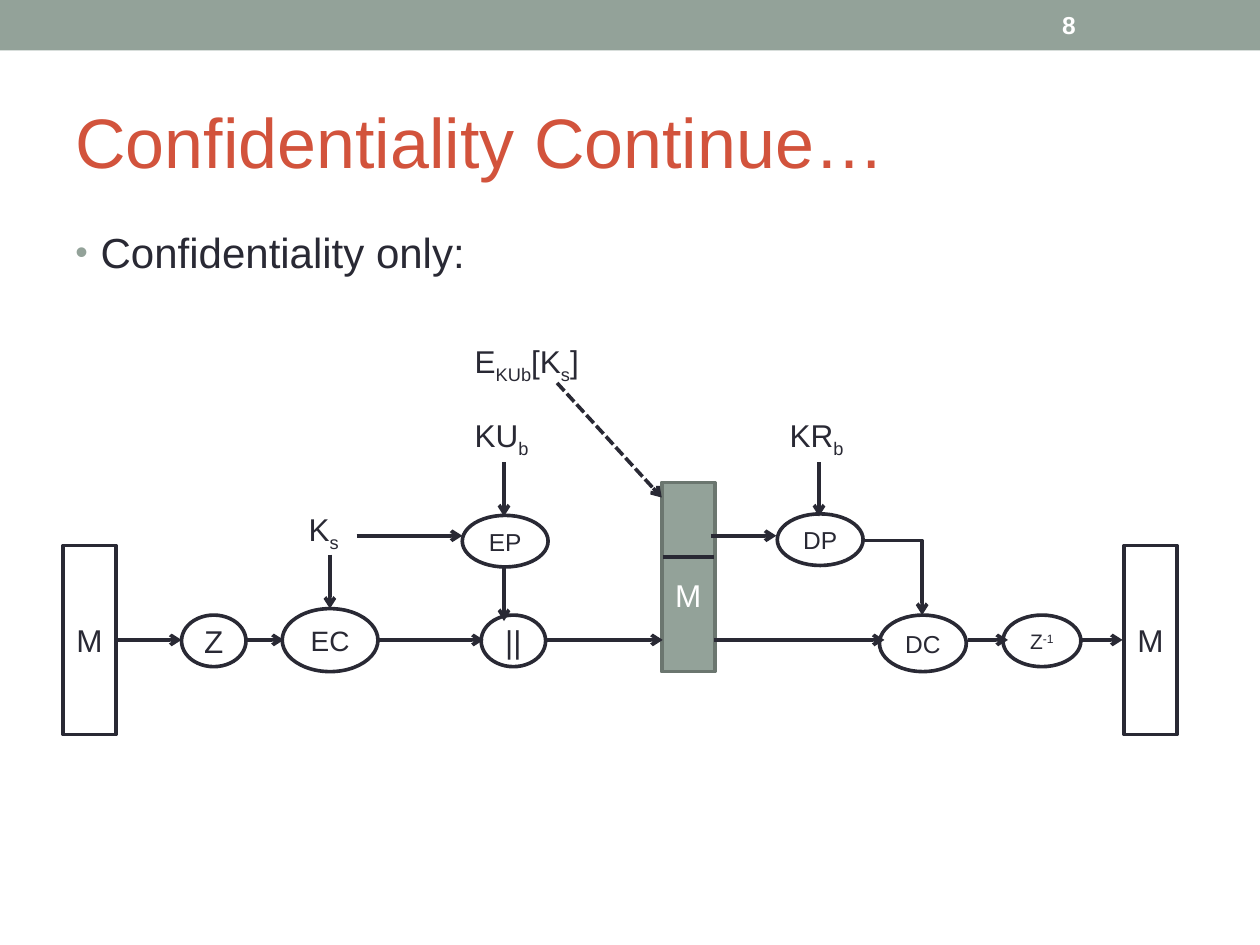
import dataclasses
import typing

import pptx
import pptx.dml.color
import pptx.enum.dml
import pptx.enum.shapes
import pptx.enum.text
import pptx.oxml
import pptx.oxml.ns
import pptx.util

Cm = pptx.util.Cm
Pt = pptx.util.Pt
SHAPES = pptx.enum.shapes.MSO_SHAPE
LINKS = pptx.enum.shapes.MSO_CONNECTOR
ANCHORS = pptx.enum.text.MSO_ANCHOR
ALIGNS = pptx.enum.text.PP_ALIGN

COLORS = {"sage": "93A299", "sage_dark": "6B766F", "ink": "292934",
          "title": "D2533C", "paper": "FFFFFF"}
LINE_WIDTH = 2.07
FLOW_Y = 12.9   # main row of the diagram
KEY_Y = 10.8    # row of the session key
SUB, SUPER = -25000, 30000

# A run is its text and its baseline shift
Runs = list[tuple[str, int]]


@dataclasses.dataclass
class Node:
    runs: Runs
    left: float
    top: float
    width: float
    height: float
    size: int = 18
    kind: typing.Any = SHAPES.OVAL
    fill: str = "paper"
    line: str = "ink"
    color: str = "ink"
    top_inset: float = 0.13


@dataclasses.dataclass
class Label:
    runs: Runs
    left: float
    top: float
    width: float
    height: float = 1.12
    size: int = 18
    color: str = "ink"
    bold: bool = False
    anchor: typing.Any = ANCHORS.TOP


@dataclasses.dataclass
class Link:
    x1: float
    y1: float
    x2: float
    y2: float
    head: bool = True
    dashed: bool = False
    bent: bool = False


def rgb(name: str) -> pptx.dml.color.RGBColor:
    return pptx.dml.color.RGBColor.from_string(COLORS[name])


def add_xml(parent, xml: str) -> None:
    tag, rest = xml.split(" ", 1) if " " in xml else (xml, "")
    namespace = pptx.oxml.ns.nsdecls("a")
    parent.append(pptx.oxml.parse_xml(f"<a:{tag} {namespace} {rest}/>"))


def write_runs(para, item) -> None:
    for text, baseline in item.runs:
        run = para.add_run()
        run.text = text
        looks = {"name": "Arial", "size": Pt(item.size),
                 "bold": getattr(item, "bold", False)}
        for key, value in looks.items():
            setattr(run.font, key, value)
        run.font.color.rgb = rgb(item.color)
        if baseline:
            run.font._element.set("baseline", str(baseline))


def draw_node(page, node: Node) -> None:
    box = page.shapes.add_shape(node.kind, Cm(node.left), Cm(node.top),
                                Cm(node.width), Cm(node.height))
    box.shadow.inherit = False
    box.fill.solid()
    box.fill.fore_color.rgb = rgb(node.fill)
    box.line.color.rgb = rgb(node.line)
    box.line.width = Pt(LINE_WIDTH)
    frame = box.text_frame
    layout = {"word_wrap": False, "vertical_anchor": ANCHORS.MIDDLE,
              "margin_top": Cm(node.top_inset)}
    for key, value in layout.items():
        setattr(frame, key, value)
    para = frame.paragraphs[0]
    para.alignment = ALIGNS.CENTER
    write_runs(para, node)


def draw_label(page, label: Label):
    box = page.shapes.add_textbox(Cm(label.left), Cm(label.top),
                                  Cm(label.width), Cm(label.height))
    box.text_frame.word_wrap = True
    box.text_frame.vertical_anchor = label.anchor
    para = box.text_frame.paragraphs[0]
    write_runs(para, label)
    return para


def draw_link(page, link: Link) -> None:
    kind = LINKS.ELBOW if link.bent else LINKS.STRAIGHT
    line = page.shapes.add_connector(kind, Cm(link.x1), Cm(link.y1),
                                     Cm(link.x2), Cm(link.y2))
    line.line.color.rgb = rgb("ink")
    line.line.width = Pt(LINE_WIDTH)
    properties = line._element.spPr
    if link.bent:
        # One corner only: across, then down
        properties.find(pptx.oxml.ns.qn("a:prstGeom")).set("prst", "bentConnector2")
    if link.dashed:
        line.line.dash_style = pptx.enum.dml.MSO_LINE.SQUARE_DOT
    if link.head:
        add_xml(line.line._get_or_add_ln(), 'tailEnd type="arrow"')
    add_xml(properties, "effectLst")


def add_bullet(para) -> None:
    para.space_before = Pt(6)
    properties = para._p.get_or_add_pPr()
    properties.set("marL", str(Cm(0.51)))
    properties.set("indent", str(-Cm(0.51)))
    namespace = pptx.oxml.ns.nsdecls("a")
    properties.append(pptx.oxml.parse_xml(
        f'<a:buClr {namespace}><a:srgbClr val="{COLORS["sage"]}"/></a:buClr>'))
    add_xml(properties, 'buSzPct val="85000"')
    add_xml(properties, 'buFont typeface="Arial"')
    add_xml(properties, 'buChar char="•"')


MESSAGE = {"top": 11, "width": 1.07, "height": 3.81, "kind": SHAPES.RECTANGLE}
NODES = [
    Node([("M", 0)], left=1.27, **MESSAGE),
    Node([("Z", 0)], 3.66, 12.4, 1.3, 1.04),
    Node([("EC", 0)], 5.69, 12.27, 1.93, 1.27, 16),
    Node([("||", 0)], 9.7, 12.4, 1.3, 1.04),
    Node([("EP", 0)], 9.32, 10.39, 1.73, 1.04, 14),
    Node([("Z", 0), ("-1", SUPER)], 20.22, 12.4, 1.57, 1.04, 12),
    Node([("M", 0)], 13.34, 9.73, 1.07, 3.81, 18, SHAPES.RECTANGLE,
         "sage", "sage_dark", "paper", top_inset=0.86),
    Node([("DP", 0)], 15.67, 10.36, 1.73, 1.04, 14),
    Node([("DC", 0)], 17.73, 12.4, 1.75, 1.14, 14),
    Node([("M", 0)], left=22.66, **MESSAGE),
]
LABELS = [
    Label([("K", 0), ("s", SUB)], 5.97, 10.16, 1.45),
    Label([("E", 0), ("KUb", SUB), ("[K", 0), ("s", SUB), ("]", 0)], 9.32, 6.78, 4.01),
    Label([("KU", 0), ("b", SUB)], 9.32, 8.26, 1.91),
    Label([("KR", 0), ("b", SUB)], 15.67, 8.26, 1.91),
]
FLOW_SPANS = [(2.34, 3.66), (4.98, 5.72), (7.62, 9.75), (11, 13.36),
              (14.4, 17.83), (19.51, 20.32), (21.79, 22.63)]
KEY_SPANS = [(7.19, 9.32), (14.33, 15.65)]
DROPS = [(6.65, 11.18), (10.16, 9.32), (10.16, 11.43), (16.51, 9.32)]
LINKS_DRAWN = (
    [Link(start, FLOW_Y, end, FLOW_Y) for start, end in FLOW_SPANS]
    + [Link(start, KEY_Y, end, KEY_Y) for start, end in KEY_SPANS]
    + [Link(x, top, x, top + 1.09) for x, top in DROPS]
    + [Link(11.23, 7.72, 13.34, 10.03, dashed=True),
       Link(17.4, 10.9, 18.59, 12.4, bent=True),
       Link(13.36, 11.23, 14.4, 11.23, head=False)]
)


def main() -> None:
    deck = pptx.Presentation()
    deck.slide_width, deck.slide_height = Cm(25.4), Cm(19.05)
    page = deck.slides.add_slide(deck.slide_layouts[6])

    # Top band and page number
    band = page.shapes.add_shape(SHAPES.RECTANGLE, 0, 0, deck.slide_width, Cm(1.02))
    band.shadow.inherit = False
    band.fill.solid()
    band.fill.fore_color.rgb = rgb("sage")
    band.line.fill.background()
    draw_label(page, Label([("8", 0)], 21.16, 0.05, 2.97, 0.91, 14, "paper",
                           True, ANCHORS.MIDDLE))

    # Title and bullet
    draw_label(page, Label([("Confidentiality Continue…", 0)], 1.27, 1.47, 22.86,
                           2.74, 40, "title", anchor=ANCHORS.MIDDLE))
    add_bullet(draw_label(page, Label([("Confidentiality only:", 0)], 1.27, 4.45,
                                      22.86, 13.54, 24)))

    # Diagram
    for node in NODES:
        draw_node(page, node)
    for link in LINKS_DRAWN:
        draw_link(page, link)
    for label in LABELS:
        draw_label(page, label)

    deck.save("out.pptx")


if __name__ == "__main__":
    main()
